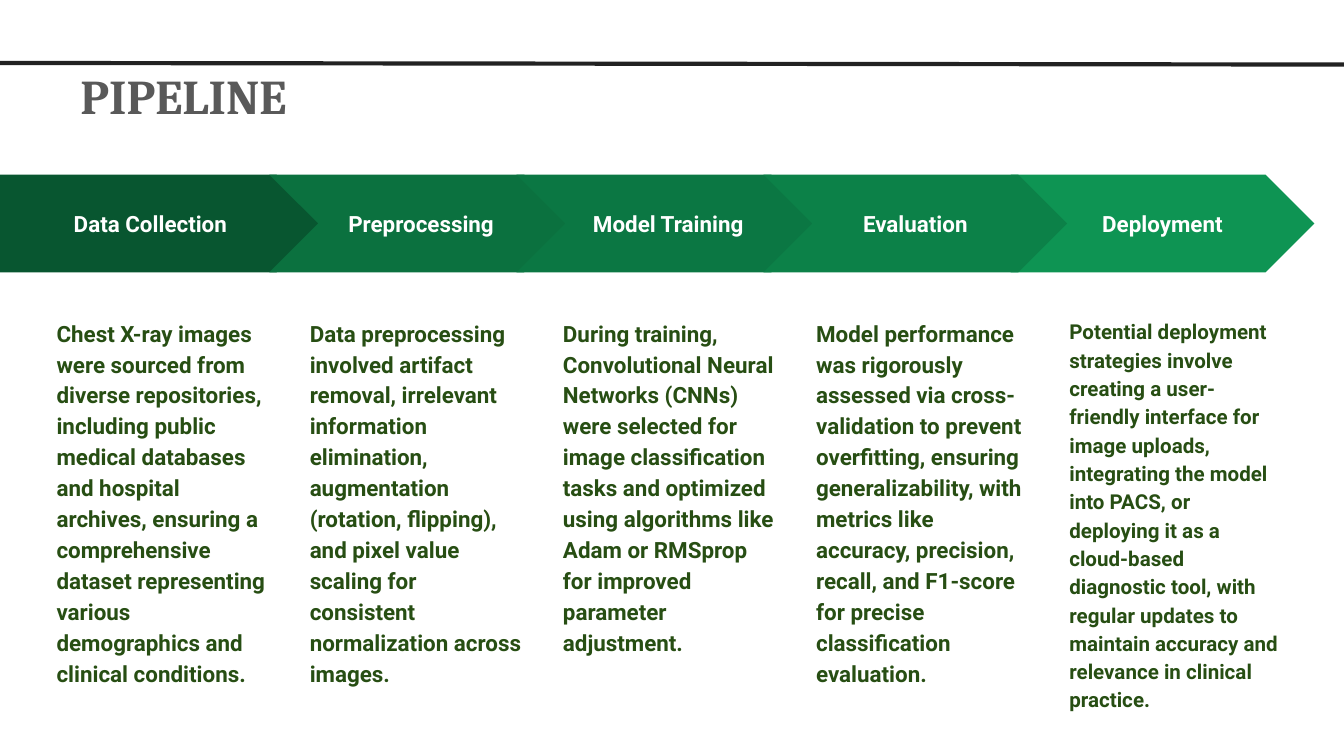
from dataclasses import dataclass

from lxml.etree import SubElement
from pptx import Presentation
from pptx.dml.color import RGBColor
from pptx.enum.shapes import MSO_CONNECTOR, MSO_SHAPE
from pptx.enum.text import MSO_ANCHOR, MSO_AUTO_SIZE, PP_ALIGN
from pptx.oxml.ns import qn
from pptx.util import Cm, Pt


@dataclass(frozen=True)
class Theme:
    """Colours, fonts and type sizes of the slide."""
    title_color: str = "595959"
    rule_color: str = "222222"
    label_color: str = "FFFFFF"
    body_color: str = "274E13"
    stage_fills: tuple = ("085630", "0B713F", "0B7743", "0C8148", "0E9453")
    title_font: str = "Cambria"
    text_font: str = "Roboto"
    title_size: int = 26
    text_size: int = 12
    small_size: int = 11
    rule_width: float = 2.25


THEME = Theme()

STAGES = (
    ("Data Collection",
     "Chest X-ray images were sourced from diverse repositories, including public medical "
     "databases and hospital archives, ensuring a comprehensive dataset representing various "
     "demographics and clinical conditions.", THEME.text_size),
    ("Preprocessing",
     "Data preprocessing involved artifact removal, irrelevant information elimination, "
     "augmentation (rotation, flipping), and pixel value scaling for consistent normalization "
     "across images.", THEME.text_size),
    ("Model Training",
     "During training, Convolutional Neural Networks (CNNs) were selected for image "
     "classification tasks and optimized using algorithms like Adam or RMSprop for improved "
     "parameter adjustment.", THEME.text_size),
    ("Evaluation",
     "Model performance was rigorously assessed via cross-validation to prevent overfitting, "
     "ensuring generalizability, with metrics like accuracy, precision, recall, and F1-score "
     "for precise classification evaluation.", THEME.text_size),
    ("Deployment",
     "Potential deployment strategies involve creating a user-friendly interface for image "
     "uploads, integrating the model into PACS, or deploying it as a cloud-based diagnostic "
     "tool, with regular updates to maintain accuracy and relevance in clinical practice.",
     THEME.small_size),
)
DRAWING_ORDER = (0, 1, 2, 4, 3)


def write_text(shape, text, *, color, size=THEME.text_size, font=THEME.text_font,
               align=PP_ALIGN.LEFT, anchor=MSO_ANCHOR.TOP, spacing=1.0,
               auto_size=MSO_AUTO_SIZE.NONE):
    """Fill a shape with one bold, formatted paragraph."""
    frame = shape.text_frame
    frame.word_wrap = True
    frame.auto_size = auto_size
    frame.vertical_anchor = anchor
    frame.margin_left = frame.margin_right = Cm(0.25)
    frame.margin_top = frame.margin_bottom = Cm(0.25)
    paragraph = frame.paragraphs[0]
    paragraph.alignment = align
    paragraph.line_spacing = spacing
    run = paragraph.add_run()
    run.text = text
    run.font.name = font
    run.font.size = Pt(size)
    run.font.bold = True
    run.font.color.rgb = RGBColor.from_string(color)


def place_title(slide, text, left, top, width, height):
    """Move the title placeholder into its box and write it."""
    title = slide.shapes.title
    title.left, title.top, title.width, title.height = left, top, width, height
    write_text(title, text, color=THEME.title_color, size=THEME.title_size,
               font=THEME.title_font, auto_size=MSO_AUTO_SIZE.SHAPE_TO_FIT_TEXT)


def add_stage_arrow(slide, index, left, top, width, height):
    """Add one labelled arrow; the first has a flat back and reaches the left edge."""
    step, chevron_width = Cm(4.67), Cm(5.74)
    if index == 0:
        preset, arrow_left, arrow_width = MSO_SHAPE.PENTAGON, left, Cm(6.15)
    else:
        preset, arrow_width = MSO_SHAPE.CHEVRON, chevron_width
        arrow_left = left + width - chevron_width - (len(STAGES) - 1 - index) * step
    arrow = slide.shapes.add_shape(preset, arrow_left, top, arrow_width, height)
    arrow.adjustments[0] = 0.5
    arrow.shadow.inherit = False
    arrow.fill.solid()
    arrow.fill.fore_color.rgb = RGBColor.from_string(THEME.stage_fills[index])
    arrow.line.fill.background()
    write_text(arrow, STAGES[index][0], color=THEME.label_color,
               align=PP_ALIGN.CENTER, anchor=MSO_ANCHOR.MIDDLE)


def add_stage_description(slide, index, left, top, width, height):
    """Add one description in its column of the given box."""
    column_width = Cm(4.52)
    step = (width - column_width) // (len(STAGES) - 1)
    description = slide.shapes.add_textbox(left + index * step, top, column_width, height)
    write_text(description, STAGES[index][1], color=THEME.body_color,
               size=STAGES[index][2], spacing=1.15)


def add_rule(slide, left, top, width, height):
    """Add the dark, slightly sloping line across the given box."""
    rule = slide.shapes.add_connector(MSO_CONNECTOR.STRAIGHT, left, top,
                                      left + width, top + height)
    rule.line.color.rgb = RGBColor.from_string(THEME.rule_color)
    rule.line.width = Pt(THEME.rule_width)
    SubElement(rule._element.spPr, qn("a:effectLst"))


def main():
    """Build and save the pipeline slide."""
    presentation = Presentation()
    presentation.slide_width, presentation.slide_height = Cm(25.4), Cm(14.29)
    slide = presentation.slides.add_slide(presentation.slide_layouts.get_by_name("Title Only"))
    place_title(slide, "PIPELINE", Cm(1.27), Cm(0.99), Cm(19.89), Cm(1.63))
    for index in DRAWING_ORDER:
        add_stage_arrow(slide, index, Cm(0), Cm(3.3), Cm(24.84), Cm(1.85))
        add_stage_description(slide, index, Cm(0.82), Cm(5.72), Cm(23.66), Cm(6.53))
    add_rule(slide, Cm(-0.03), Cm(1.19), Cm(25.46), Cm(0.03))
    presentation.save("out.pptx")


if __name__ == "__main__":
    main()
